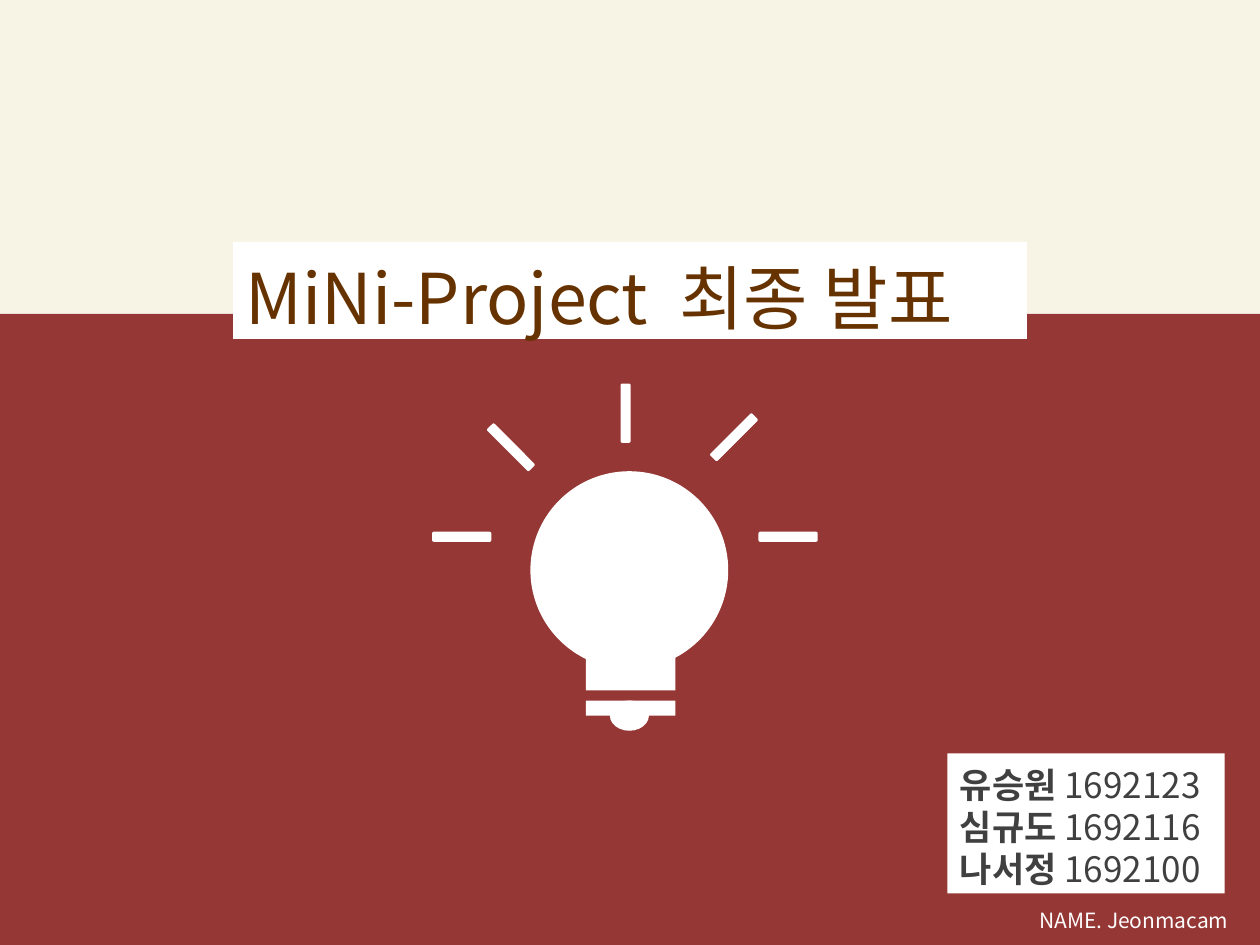
from dataclasses import dataclass

from pptx import Presentation
from pptx import util as u
from pptx.dml.color import RGBColor
from pptx.enum import shapes, text
from pptx.oxml.ns import qn


@dataclass(frozen=True)
class Theme:
    font: str = "Noto Sans CJK KR"
    cream: str = "F7F4E5"
    red: str = "953735"
    white: str = "FFFFFF"
    brown: str = "663300"
    gray: str = "404040"
    title_size: int = 40
    name_size: int = 20
    footer_size: int = 12
    line_height: float = 1.2


THEME = Theme()
WIDTH, HEIGHT = 10, 7.5
HORIZON = 2.49
KIND = shapes.MSO_SHAPE

MEMBERS = [("유승원", "1692123"), ("심규도", "1692116"), ("나서정", "1692100")]

BULB_PARTS = [
    (KIND.OVAL, (4.21, 3.74, 1.57, 1.57)),
    (KIND.RECTANGLE, (4.65, 4.99, 0.71, 0.49)),
    (KIND.RECTANGLE, (4.65, 5.56, 0.71, 0.12)),
    (KIND.OVAL, (4.84, 5.56, 0.31, 0.24)),
]

# Left, top and rotation of each ray
RAY_SIZE = (0.47, 0.08)
RAYS = [(3.43, 4.22, 0), (3.82, 3.51, 45), (4.73, 3.24, 90),
        (5.59, 3.43, 135), (6.02, 4.22, 0)]


def add_block(parent, kind, box, color, rotation=0):
    """Add a plain filled shape without outline or shadow."""
    shape = parent.add_shape(kind, *map(u.Inches, box))
    shape.fill.solid()
    shape.fill.fore_color.rgb = RGBColor.from_string(color)
    shape.line.fill.background()
    shape.shadow.inherit = False
    shape.rotation = rotation
    return shape


def write_text(shape, paragraphs, size, color, top_inset=0.05):
    """Fill a shape with paragraphs of (text, run options) pairs."""
    frame = shape.text_frame
    frame.word_wrap = True
    frame.auto_size = text.MSO_AUTO_SIZE.NONE
    frame.vertical_anchor = text.MSO_ANCHOR.TOP
    frame.margin_left = frame.margin_right = u.Inches(0.1)
    frame.margin_top, frame.margin_bottom = u.Inches(top_inset), 0
    for index, runs in enumerate(paragraphs):
        paragraph = frame.add_paragraph() if index else frame.paragraphs[0]
        paragraph.alignment = text.PP_ALIGN.LEFT
        paragraph.line_spacing = u.Pt(size * THEME.line_height)
        paragraph.space_before = paragraph.space_after = u.Pt(0)
        for content, options in runs:
            add_run(paragraph, content, size=size, color=color, **options)


def add_run(paragraph, content, *, size, color, bold=False, tracking=0):
    """Add a run of text; tracking is extra letter spacing in points."""
    run = paragraph.add_run()
    run.text = content
    run.font.name = THEME.font
    run.font.size = u.Pt(size)
    run.font.bold = bold
    run.font.color.rgb = RGBColor.from_string(color)
    properties = run.font.fill and run._r.get_or_add_rPr()
    east_asian = properties.makeelement(qn("a:ea"), {"typeface": THEME.font})
    properties.find(qn("a:latin")).addnext(east_asian)
    if tracking:
        properties.set("spc", str(tracking * 100))


def add_title(slide):
    title = slide.shapes.title
    title.left, title.top, title.width, title.height = map(
        u.Inches, (1.85, 1.92, 6.3, 0.77))
    title.fill.solid()
    title.fill.fore_color.rgb = RGBColor.from_string(THEME.white)
    runs = [("MiNi-Project", {}), (" ", {"tracking": 9}), ("최종 발표", {})]
    write_text(title, [runs], THEME.title_size, THEME.brown, top_inset=0.1)
    # Bring the title in front of the background bands
    title.element.getparent().append(title.element)


def add_bulb(slide):
    group = slide.shapes.add_group_shape()
    for kind, box in BULB_PARTS:
        add_block(group.shapes, kind, box, THEME.white)
    for left, top, angle in RAYS:
        add_block(slide.shapes, KIND.ROUNDED_RECTANGLE,
                  (left, top, *RAY_SIZE), THEME.white, angle)


def add_members(slide):
    panel = add_block(slide.shapes, KIND.RECTANGLE,
                      (7.52, 5.98, 2.2, 1.11), THEME.white)
    lines = [[(name, {"bold": True}), (" " + number, {})]
             for name, number in MEMBERS]
    write_text(panel, lines, THEME.name_size, THEME.gray, top_inset=0.08)


def add_footer(slide):
    footer = slide.shapes.add_textbox(*map(u.Inches, (8.15, 7.15, 1.81, 0.3)))
    write_text(footer, [[("NAME. Jeonmacam", {})]],
               THEME.footer_size, THEME.white)


def main():
    presentation = Presentation()
    presentation.slide_width = u.Inches(WIDTH)
    presentation.slide_height = u.Inches(HEIGHT)
    slide = presentation.slides.add_slide(presentation.slide_layouts[5])

    # Background bands
    add_block(slide.shapes, KIND.RECTANGLE, (0, 0, WIDTH, HORIZON), THEME.cream)
    add_block(slide.shapes, KIND.RECTANGLE,
              (0, HORIZON, WIDTH, HEIGHT - HORIZON), THEME.red)

    # Content
    add_title(slide)
    add_footer(slide)
    add_bulb(slide)
    add_members(slide)
    presentation.save("out.pptx")


main()
